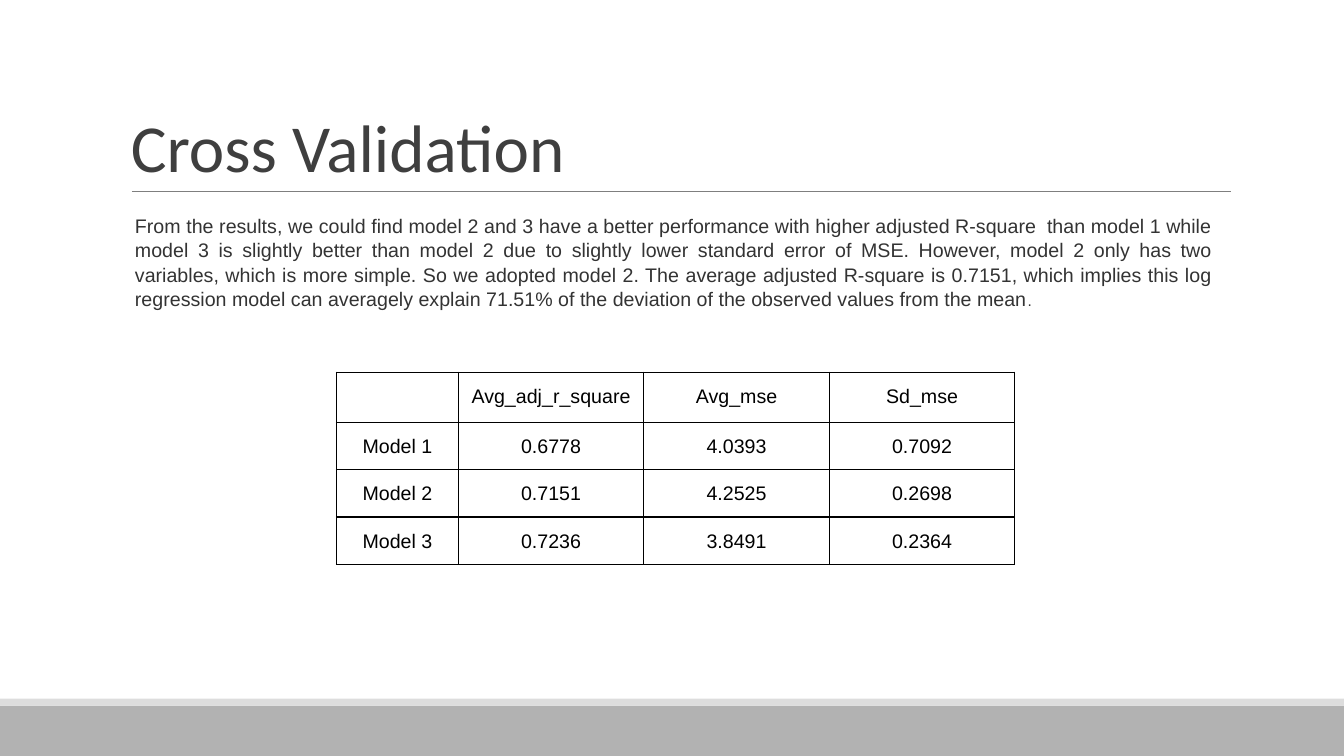
from dataclasses import dataclass

from lxml import etree
from pptx import Presentation
from pptx import util as u
from pptx.dml.color import RGBColor
from pptx.enum import shapes, text
from pptx.oxml import ns


@dataclass(frozen=True)
class Theme:
    title_font: str = "Calibri"
    body_font: str = "Arial"
    title_size: int = 48
    body_size: int = 14
    stop_size: int = 11
    title_color: str = "3F3F3F"
    body_color: str = "333333"
    table_color: str = "000000"
    rule_color: str = "7F7F7F"
    band_color: str = "B2B2B2"
    strip_color: str = "DDDDDD"


THEME = Theme()
PAGE_WIDTH, PAGE_HEIGHT = 960, 540

SUMMARY = (
    "From the results, we could ﬁnd model 2 and 3 have a better performance with higher "
    "adjusted R-square  than model 1 while model 3 is slightly better than model 2 due to "
    "slightly lower standard error of MSE. However, model 2 only has two variables, which is "
    "more simple. So we adopted model 2. The average adjusted R-square is 0.7151, which "
    "implies this log regression model can averagely explain 71.51% of the deviation of the "
    "observed values from the mean"
)
RESULTS = [
    ["", "Avg_adj_r_square", "Avg_mse", "Sd_mse"],
    ["Model 1", "0.6778", "4.0393", "0.7092"],
    ["Model 2", "0.7151", "4.2525", "0.2698"],
    ["Model 3", "0.7236", "3.8491", "0.2364"],
]


def add_span(para, words, *, size, color, font=THEME.body_font):
    span = para.add_run()
    span.text = words
    span.font.name = font
    span.font.size = u.Pt(size)
    span.font.color.rgb = RGBColor.from_string(color)


def add_text_box(page, box, *, inset, anchor=text.MSO_ANCHOR.TOP):
    """Add an empty wrapping text box and return its frame."""
    frame = page.shapes.add_textbox(*map(u.Pt, box)).text_frame
    frame.word_wrap = True
    frame.vertical_anchor = anchor
    frame.margin_left = frame.margin_right = u.Pt(inset)
    frame.margin_top = frame.margin_bottom = u.Pt(3.6)
    return frame


def add_bar(page, box, color):
    bar = page.shapes.add_shape(shapes.MSO_SHAPE.RECTANGLE, *map(u.Pt, box))
    bar.shadow.inherit = False
    bar.fill.solid()
    bar.fill.fore_color.rgb = RGBColor.from_string(color)
    bar.line.fill.background()


def add_footer(page, box, strip_height=5):
    """Draw the dark band with a light strip along its top edge."""
    left, top, width, height = box
    add_bar(page, (left, top + strip_height, width, height - strip_height), THEME.band_color)
    add_bar(page, (left, top, width, strip_height), THEME.strip_color)


def add_title(page, box, words):
    """Set the title at the bottom of its box, with a rule along the lower edge."""
    left, top, width, height = box
    bottom = top + height
    rule = page.shapes.add_connector(
        shapes.MSO_CONNECTOR.STRAIGHT,
        *map(u.Pt, (left + 7.9, bottom, left + width + 0.7, bottom)),
    )
    rule.line.color.rgb = RGBColor.from_string(THEME.rule_color)
    rule.line.width = u.Pt(0.75)
    etree.SubElement(rule._element.spPr, ns.qn("a:effectLst"))

    para = add_text_box(page, box, inset=7.2, anchor=text.MSO_ANCHOR.BOTTOM).paragraphs[0]
    para.line_spacing = 0.85
    add_span(para, words, size=THEME.title_size, color=THEME.title_color, font=THEME.title_font)


def add_summary(page, box, words):
    para = add_text_box(page, box, inset=0).paragraphs[0]
    para.alignment = text.PP_ALIGN.JUSTIFY
    para.space_before = u.Pt(2)
    para.line_spacing = 1.03
    para._p.get_or_add_pPr().set("marL", str(u.Pt(10)))
    add_span(para, words, size=THEME.body_size, color=THEME.body_color)
    add_span(para, ".", size=THEME.stop_size, color=THEME.body_color)


def set_borders(cell, color, width=1):
    properties = cell._tc.get_or_add_tcPr()
    for position, side in enumerate(("lnL", "lnR", "lnT", "lnB")):
        line = etree.Element(ns.qn(f"a:{side}"), w=str(u.Pt(width)))
        fill = etree.SubElement(line, ns.qn("a:solidFill"))
        etree.SubElement(fill, ns.qn("a:srgbClr"), val=color)
        properties.insert(position, line)


def add_results(page, box, rows, label_width=87):
    """Draw the table with a label column and equal value columns."""
    left, top, width, height = box
    count = len(rows[0])
    table = page.shapes.add_table(len(rows), count, *map(u.Pt, box)).table
    table.first_row = table.horz_banding = False
    value_width = (width - label_width) / (count - 1)
    for index, column in enumerate(table.columns):
        column.width = u.Pt(value_width if index else label_width)
    for row, values in zip(table.rows, rows):
        row.height = u.Pt(height / len(rows))
        for cell, value in zip(row.cells, values):
            cell.fill.background()
            cell.margin_left = cell.margin_right = u.Pt(5)
            cell.margin_top = cell.margin_bottom = u.Pt(7.2)
            set_borders(cell, THEME.table_color)
            para = cell.text_frame.paragraphs[0]
            para.alignment = text.PP_ALIGN.CENTER
            para.line_spacing = 1.15
            add_span(para, value, size=THEME.body_size, color=THEME.table_color)


def main():
    deck = Presentation()
    deck.slide_width, deck.slide_height = u.Pt(PAGE_WIDTH), u.Pt(PAGE_HEIGHT)
    page = deck.slides.add_slide(deck.slide_layouts[6])
    add_footer(page, (0, 499, PAGE_WIDTH, 41))
    add_title(page, (86.4, 22.3, 792, 114.5), "Cross Validation")
    add_summary(page, (86.4, 149, 780, 80), SUMMARY)
    add_results(page, (240.4, 265.8, 484.5, 129.6), RESULTS)
    deck.save("out.pptx")


if __name__ == "__main__":
    main()
